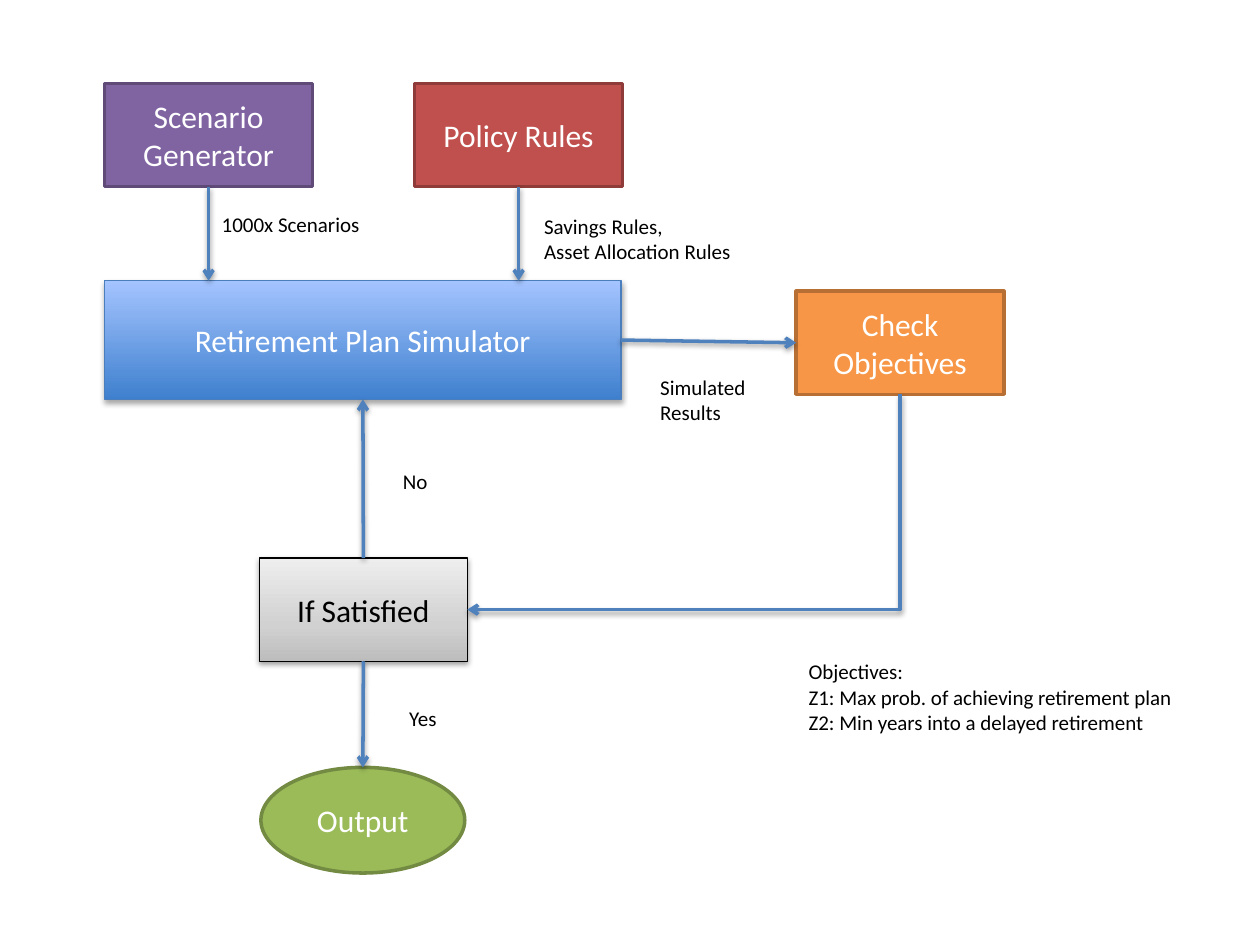
"""Builds the retirement planning flowchart slide."""
from lxml import etree
from pptx import Presentation
from pptx import util as u
from pptx.dml.color import RGBColor
from pptx.enum import shapes, text
from pptx.oxml.ns import qn

INK = {"white": "FFFFFF", "black": "000000", "arrow": "4F81BD",
       "violet": "8064A2", "plum": "5F4A78", "red": "C0504D", "wine": "8E3B39",
       "orange": "F79646", "rust": "B76F34", "green": "9BBB59", "moss": "738A42",
       "blue": "4B7EBC", "deep": "3F80CE", "sky": "A4C4FF",
       "dim": "BDBDBD", "mid": "D1D1D1", "pale": "EEEEEE"}
FONT = "Calibri"
W, H = 4.19, 2.08
SOFT = (38, 1.6)
BLUES = [(0, "deep"), (100, "sky")]
GREYS = [(0, "dim"), (35, "mid"), (100, "pale")]

NODES = [
    ("scene", "RECTANGLE", ["Scenario", "Generator"], (2.11, 1.68, W, H), "violet", "plum", 2, "white", None),
    ("rules", "RECTANGLE", ["Policy Rules"], (8.36, 1.68, W, H), "red", "wine", 2, "white", None),
    ("plan", "RECTANGLE", ["Retirement Plan Simulator"], (2.11, 5.66, 10.41, 2.39), BLUES, "blue", 0.75, "white", (35, 1.8)),
    ("check", "RECTANGLE", ["Check Objectives"], (16.05, 5.87, W, H), "orange", "rust", 2, "white", None),
    ("test", "RECTANGLE", ["If Satisfied"], (5.23, 11.25, W, H), GREYS, "black", 0.75, "black", SOFT),
    ("out", "OVAL", ["Output"], (5.26, 15.47, 4.11, 2.13), "green", "moss", 2, "white", None),
]
TOP, LEFT, BASE, RIGHT = range(4)
DROPS = [("scene", "plan"), ("rules", "plan")]
LINKS = [("plan", RIGHT, "check", LEFT), ("test", TOP, "plan", BASE), ("test", BASE, "out", TOP)]
TURN = ("check", "test")
NOTES = [
    (["1000x Scenarios"], (4.22, 4.14, 4.98, 0.77)),
    (["Savings Rules, ", "Asset Allocation Rules"], (10.72, 4.18, 4.98, 1.28)),
    (["Simulated Results"], (13.06, 7.42, 2.64, 1.28)),
    (["No"], (7.87, 9.33, 2.64, 0.77)),
    (["Yes"], (8.0, 14.1, 2.64, 0.77)),
    (["Objectives:", "Z1: Max prob. of achieving retirement plan",
      "Z2: Min years into a delayed retirement"], (16.05, 13.16, 8.1, 1.8)),
]


def tint(name):
    return RGBColor.from_string(INK[name])


def sub(root, tag, **vals):
    return etree.SubElement(root, qn(tag), {k: str(v) for k, v in vals.items()})


def write(frame, lines, size, ink, align):
    frame.word_wrap = True
    for i, line in enumerate(lines):
        para = frame.paragraphs[0] if i == 0 else frame.add_paragraph()
        para.alignment = align
        run = para.add_run()
        run.text = line
        run.font.size, run.font.name = u.Pt(size), FONT
        run.font.color.rgb = tint(ink)


def shade(root, alpha, drop):
    cast = sub(root, "a:outerShdw", blurRad=u.Pt(3.1), dist=u.Pt(drop), dir=5400000, rotWithShape=0)
    sub(sub(cast, "a:srgbClr", val=INK["black"]), "a:alpha", val=alpha * 1000)


def blend(shape, stops):
    shape.fill.gradient()
    shape.fill.gradient_angle = 90
    group = shape.element.spPr.find(".//" + qn("a:gsLst"))
    for old in list(group):
        group.remove(old)
    for pos, name in stops:
        sub(sub(group, "a:gs", pos=pos * 1000), "a:srgbClr", val=INK[name])


def node(kind, lines, box, fill, edge, width, ink, cast):
    shape = slide.shapes.add_shape(getattr(shapes.MSO_SHAPE, kind), *map(u.Cm, box))
    shape.shadow.inherit = False
    if isinstance(fill, list):
        blend(shape, fill)
    else:
        shape.fill.solid()
        shape.fill.fore_color.rgb = tint(fill)
    shape.line.color.rgb, shape.line.width = tint(edge), u.Pt(width)
    if cast:
        shade(shape.element.spPr.find(qn("a:effectLst")), *cast)
    shape.text_frame.vertical_anchor = text.MSO_ANCHOR.MIDDLE
    write(shape.text_frame, lines, 18, ink, text.PP_ALIGN.CENTER)
    return shape


def arrow(kind="STRAIGHT", ends=(0, 0, 0, 0)):
    line = slide.shapes.add_connector(getattr(shapes.MSO_CONNECTOR, kind), *map(int, ends))
    line.line.color.rgb, line.line.width = tint("arrow"), u.Pt(2)
    sub(line.line._get_or_add_ln(), "a:tailEnd", type="arrow")
    shade(sub(line._element.spPr, "a:effectLst"), *SOFT)
    return line


deck = Presentation()
deck.slide_width, deck.slide_height = u.Cm(25.4), u.Cm(19.05)
slide = deck.slides.add_slide(deck.slide_layouts[6])
made = {name: node(*rest) for name, *rest in NODES}

for start, end in DROPS:
    src = made[start]
    mid = src.left + src.width // 2
    line = arrow(ends=(mid, src.top + src.height, mid, made[end].top))
    line.begin_connect(src, BASE)

for start, out, end, into in LINKS:
    line = arrow()
    line.begin_connect(made[start], out)
    line.end_connect(made[end], into)

src, dest = (made[name] for name in TURN)
x1, y1 = src.left + src.width // 2, src.top + src.height
x2, y2 = dest.left + dest.width, dest.top + dest.height // 2
midx, midy, run, fall = (x1 + x2) / 2, (y1 + y2) / 2, x1 - x2, y2 - y1
bend = arrow("ELBOW", (midx - fall / 2, midy - run / 2, midx + fall / 2, midy + run / 2))
form = bend._element.spPr
form.find(qn("a:xfrm")).set("rot", "5400000")
form.find(qn("a:prstGeom")).set("prst", "bentConnector2")

for lines, box in NOTES:
    note = slide.shapes.add_textbox(*map(u.Cm, box))
    note.text_frame.auto_size = text.MSO_AUTO_SIZE.SHAPE_TO_FIT_TEXT
    write(note.text_frame, lines, 12, "black", text.PP_ALIGN.LEFT)

deck.save("out.pptx")
